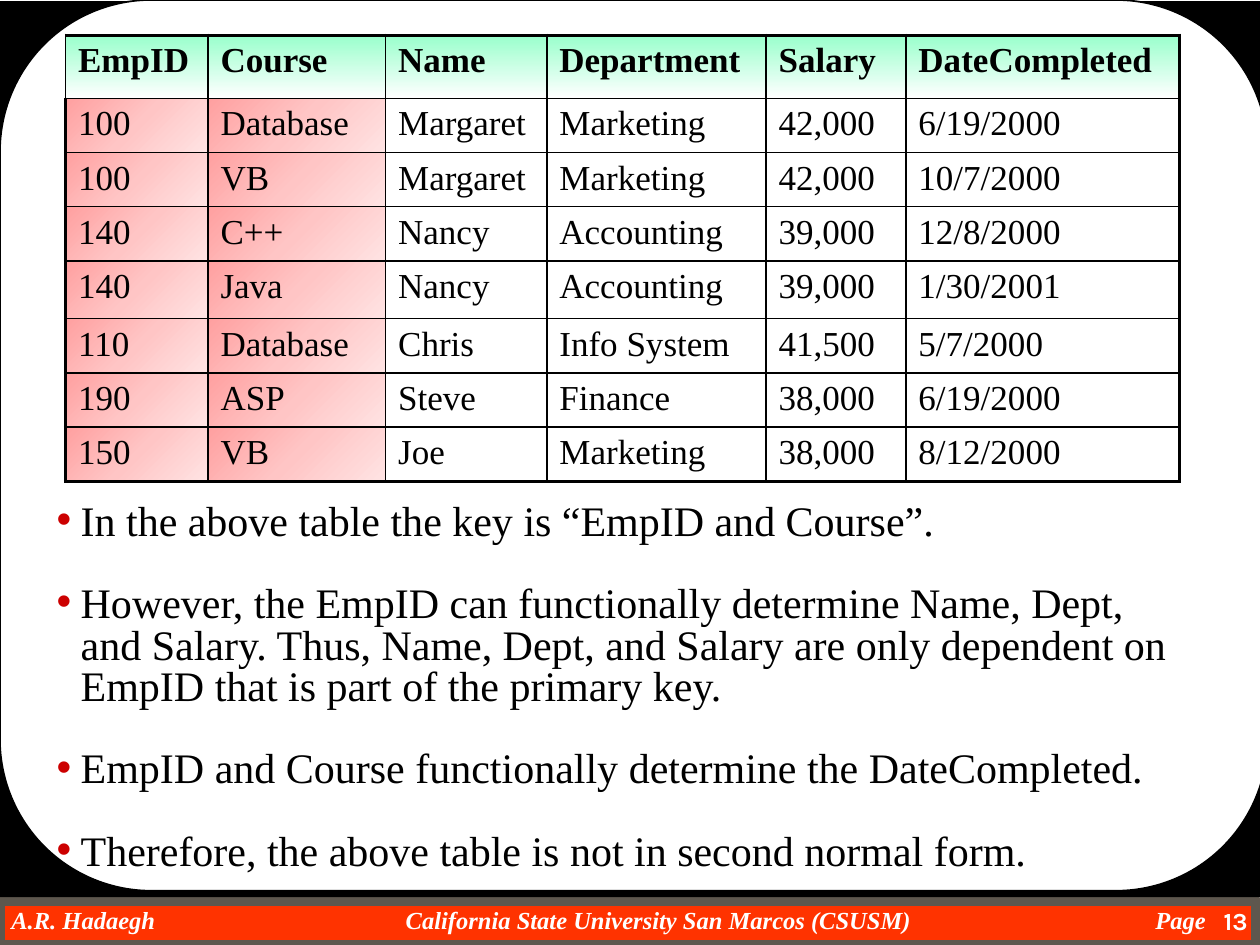
import pptx
import pptx.util
import pptx.dml.color
import pptx.enum.shapes
import pptx.enum.text
import pptx.oxml
import pptx.oxml.ns

Inches, Pt = pptx.util.Inches, pptx.util.Pt
SHAPE = pptx.enum.shapes.MSO_SHAPE
ALIGN, ANCHOR = pptx.enum.text.PP_ALIGN, pptx.enum.text.MSO_ANCHOR
NS = pptx.oxml.ns.nsdecls("a")

# Content
HEADER = ("EmpID", "Course", "Name", "Department", "Salary", "DateCompleted")
COMPLETIONS = [
    ("100", "Database", "Margaret", "Marketing", "42,000", "6/19/2000"),
    ("100", "VB", "Margaret", "Marketing", "42,000", "10/7/2000"),
    ("140", "C++", "Nancy", "Accounting", "39,000", "12/8/2000"),
    ("140", "Java", "Nancy", "Accounting", "39,000", "1/30/2001"),
    ("110", "Database", "Chris", "Info System", "41,500", "5/7/2000"),
    ("190", "ASP", "Steve", "Finance", "38,000", "6/19/2000"),
    ("150", "VB", "Joe", "Marketing", "38,000", "8/12/2000"),
]
POINTS = [
    "In the above table the key is “EmpID and Course”.",
    "However, the EmpID can functionally determine Name, Dept, and Salary. Thus, Name, "
    "Dept, and Salary are only dependent on EmpID that is part of the primary key.",
    "EmpID and Course functionally determine the DateCompleted.",
    "Therefore, the above table is not in second normal form.",
]
FOOTER = ("A.R. Hadaegh", "California State University San Marcos (CSUSM)", "Page")
PAGE = "13"

# Layout and formats
COLUMNS = (1.13, 1.41, 1.28, 1.74, 1.11, 2.17)
ROWS = (0.5, 0.43, 0.43, 0.43, 0.46, 0.43, 0.43, 0.43)
FOOTER_TABS = (3.22, 9.17)
KEY_COLUMNS = 2
THIN, THICK = 1, 2.25
SERIF = "Times New Roman"
CELL = dict(name=SERIF, size=Pt(20), bold=False)
HEAD = dict(CELL, bold=True)
BODY = dict(name=SERIF, size=Pt(24))
FOOT = dict(name=SERIF, size=Pt(14), bold=True, italic=True)
NUMBER = dict(name="Karla", size=Pt(14), bold=True)
HEAD_FILL = ([(0, "99FFCC"), (100, "FFFFFF")], '<a:lin ang="5400000" scaled="1"/>')
KEY_FILL = ([(0, "FFA0A0"), (50, "FFC5C5"), (100, "FFE3E3")],
            '<a:path path="circle"><a:fillToRect r="100000" b="100000"/></a:path>')


def rgb(code):
    return pptx.dml.color.RGBColor.from_string(code)


def set_font(p, style, color="000000"):
    for key, value in style.items():
        setattr(p.font, key, value)
    p.font.color.rgb = rgb(color)


def add_block(slide, kind, box, fill, line=None, width=0):
    sp = slide.shapes.add_shape(kind, *map(Inches, box))
    sp.shadow.inherit = False
    sp.fill.solid()
    sp.fill.fore_color.rgb = rgb(fill)
    if line:
        sp.line.color.rgb, sp.line.width = rgb(line), Pt(width)
    else:
        sp.line.fill.background()
    return sp


def add_label(slide, box, text):
    tf = slide.shapes.add_textbox(*map(Inches, box)).text_frame
    tf.word_wrap = True
    tf.paragraphs[0].text = text
    return tf, tf.paragraphs[0]


def add_xml(parent, xml):
    parent.append(pptx.oxml.parse_xml(xml))


def add_gradient(tcPr, fill):
    stops, direction = fill
    gs = "".join(f'<a:gs pos="{pos * 1000}"><a:srgbClr val="{code}"/></a:gs>'
                 for pos, code in stops)
    add_xml(tcPr, f'<a:gradFill {NS} rotWithShape="1"><a:gsLst>{gs}</a:gsLst>'
                  f'{direction}</a:gradFill>')


def add_footer(slide):
    add_block(slide, SHAPE.RECTANGLE, (0, 7.15, 9.97, 0.35), "FF3300", "5E574E", 6)
    tf, p = add_label(slide, (0, 7.18, 9.68, 0.23), "\t".join(FOOTER))
    for side in ("left", "top", "right", "bottom"):
        setattr(tf, f"margin_{side}", Inches(0.09) if side == "left" else 0)
    tabs = "".join(f'<a:tab pos="{Inches(x - 0.09)}" algn="l"/>' for x in FOOTER_TABS)
    add_xml(p._p.get_or_add_pPr(), f"<a:tabLst {NS}>{tabs}</a:tabLst>")
    set_font(p, FOOT, "FFFFFF")


def add_page_number(slide):
    tf, p = add_label(slide, (9.25, 7.12, 0.75, 0.38), PAGE)
    tf.vertical_anchor = ANCHOR.MIDDLE
    p.alignment = ALIGN.RIGHT
    set_font(p, NUMBER, "FFFFFF")


def add_points(slide, body):
    slide.shapes._spTree.append(body._element)  # in front of the panel
    for key, value in zip(("left", "top", "width", "height"), (0.35, 3.94, 9.18, 2.98)):
        setattr(body, key, Inches(value))
    tf = body.text_frame
    tf.auto_size = pptx.enum.text.MSO_AUTO_SIZE.NONE
    for i, text in enumerate(POINTS):
        p = tf.add_paragraph() if i else tf.paragraphs[0]
        p.text = text
        p.line_spacing = 0.83
        p.space_before = Pt(23 if i else 0)
        pPr = p._p.get_or_add_pPr()
        pPr.set("marL", str(Inches(0.19)))
        pPr.set("indent", str(Inches(-0.19)))
        add_xml(pPr, f'<a:buClr {NS}><a:srgbClr val="CC0000"/></a:buClr>')
        add_xml(pPr, f'<a:buChar {NS} char="•"/>')
        set_font(p, BODY)


def add_course_table(slide):
    rows = [HEADER] + COMPLETIONS
    frame = slide.shapes.add_table(len(rows), len(HEADER), Inches(0.52), Inches(0.28),
                                   Inches(sum(COLUMNS)), Inches(sum(ROWS)))
    table = frame.table
    table.first_row = table.horz_banding = False
    for column, width in zip(table.columns, COLUMNS):
        column.width = Inches(width)
    for row, height in zip(table.rows, ROWS):
        row.height = Inches(height)
    for r, row in enumerate(rows):
        for c, text in enumerate(row):
            cell = table.cell(r, c)
            cell.text = text
            set_font(cell.text_frame.paragraphs[0], CELL if r else HEAD)
            # Borders: heavy outside, thin inside
            tcPr = cell._tc.get_or_add_tcPr()
            heavy = {"L": c == 0 and r > 0, "R": c == len(row) - 1,
                     "T": r == 0, "B": r == len(rows) - 1}
            for side, outer in heavy.items():
                width = Pt(THICK if outer else THIN)
                add_xml(tcPr, f'<a:ln{side} {NS} w="{width}"><a:solidFill>'
                              f'<a:srgbClr val="000000"/></a:solidFill></a:ln{side}>')
            # Fills: header row, key columns, plain cells
            if r == 0:
                add_gradient(tcPr, HEAD_FILL)
            elif c < KEY_COLUMNS:
                add_gradient(tcPr, KEY_FILL)
            else:
                cell.fill.background()


def main():
    prs = pptx.Presentation()
    prs.slide_width, prs.slide_height = Inches(10), Inches(7.5)
    slide = prs.slides.add_slide(prs.slide_layouts[1])
    title, body = slide.placeholders
    title._element.getparent().remove(title._element)

    # Frame and white panel
    add_footer(slide)
    add_block(slide, SHAPE.RECTANGLE, (0, 0.01, 10, 7.11), "000000")
    panel = add_block(slide, SHAPE.ROUNDED_RECTANGLE, (0, 0, 10.06, 7.07),
                      "FFFFFF", "000000", 1)
    panel.adjustments[0] = 0.17

    add_page_number(slide)
    add_points(slide, body)
    add_course_table(slide)
    prs.save("out.pptx")


if __name__ == "__main__":
    main()
